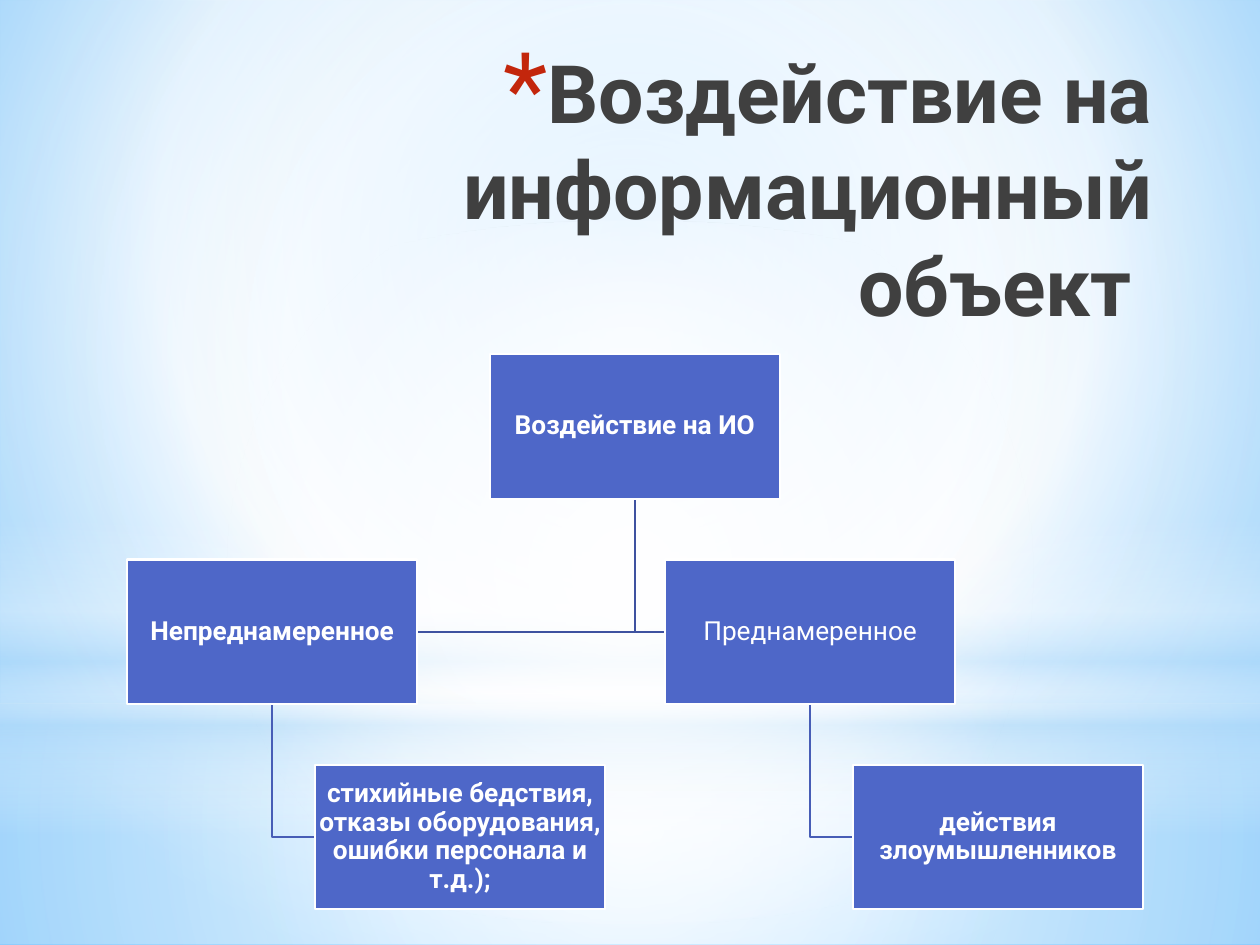
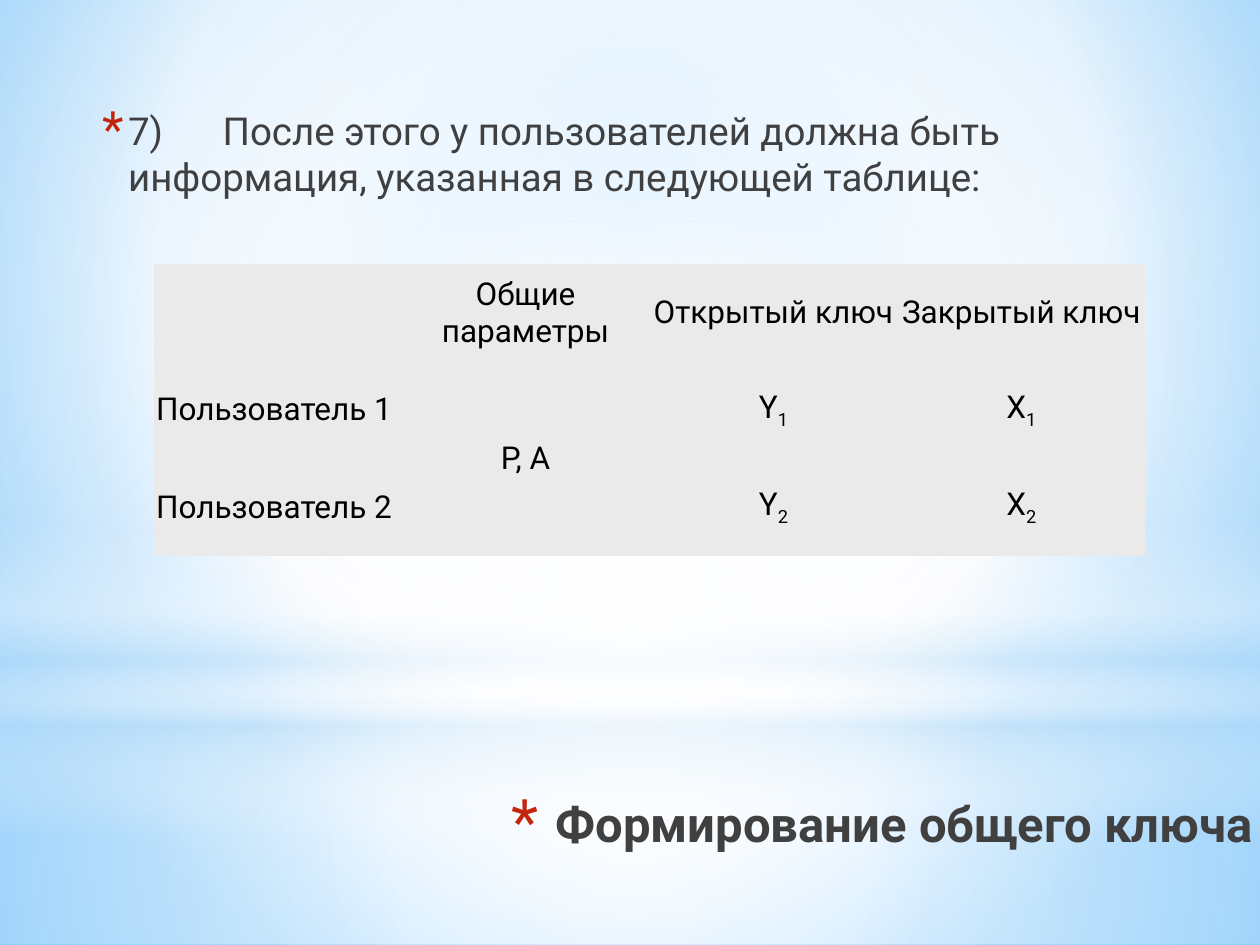
from dataclasses import dataclass

from pptx import Presentation
from pptx.dml.color import RGBColor
from pptx.enum.shapes import MSO_SHAPE
from pptx.enum.text import MSO_ANCHOR, PP_ALIGN
from pptx.oxml import parse_xml
from pptx.oxml.ns import nsdecls, qn
from pptx.util import Pt

CIRCLE = '<a:path path="circle"><a:fillToRect l="{}000" t="{}000" r="{}000" b="{}000"/></a:path>'
CENTRED = CIRCLE.format(50, 50, 50, 50)
DOWNWARD = '<a:lin ang="5400000" scaled="0"/>'


@dataclass(frozen=True)
class Theme:
    font: str = "Roboto"
    ink: str = "404040"
    black: str = "000000"
    white: str = "FFFFFF"
    sky: str = "B4DCFA"
    accent: str = "C3260C"
    node: str = "4E67C8"
    upper_link: str = "3E52A0"
    lower_link: str = "475DB6"
    cell: str = "EAEAEA"
    backdrop: tuple = ((0, "9ED5FF", 100), (60, "FFFFFF", 100), (100, "5BB9FF", 100))
    heading_size: float = 46
    subheading_size: float = 28
    body_size: float = 22
    table_size: float = 18
    node_size: float = 15
    line_width: float = 1.25
    no_grid: str = "{2D5ABB26-0587-4C30-8999-92F81FD0307C}"


@dataclass(frozen=True)
class Node:
    left: float
    top: float
    label: str
    bold: bool = True
    width: float = 165.6
    height: float = 82.6

    @property
    def center(self):
        return self.left + self.width / 2

    @property
    def middle(self):
        return self.top + self.height / 2


def apply(target, formats):
    for name, value in formats.items():
        setattr(target, name, value)


def points(*lengths):
    return [Pt(length) for length in lengths]


def margins(inset):
    return {f"margin_{side}": Pt(inset) for side in ("left", "top", "right", "bottom")}


def paint(holder, fill, stops, direction):
    fill.solid()
    stop_list = "".join(
        f'<a:gs pos="{position}000"><a:srgbClr val="{color}"><a:alpha val="{opacity}000"/></a:srgbClr></a:gs>'
        for position, color, opacity in stops)
    gradient = parse_xml(
        f'<a:gradFill {nsdecls("a")} rotWithShape="1"><a:gsLst>{stop_list}</a:gsLst>{direction}</a:gradFill>')
    holder.replace(holder.find(qn("a:solidFill")), gradient)


class Deck:
    def __init__(self, theme):
        self.theme = theme
        self.presentation = Presentation()
        apply(self.presentation, {"slide_width": Pt(720), "slide_height": Pt(540)})
        self.slide = None

    def new_slide(self):
        self.slide = self.presentation.slides.add_slide(self.presentation.slide_layouts[6])
        background = self.slide.background.fill
        background.solid()
        paint(self.slide._element.find(".//" + qn("p:bgPr")), background,
              self.theme.backdrop, CIRCLE.format(20, 10, 20, 60))
        white, sky = self.theme.white, self.theme.sky
        rectangle = MSO_SHAPE.RECTANGLE
        self.glow(rectangle, 402, 138, ((0, white, 91), (37, white, 76), (100, sky, 79)), CENTRED)
        self.glow(rectangle, 0, 402, ((0, white, 89), (48, white, 62), (100, sky, 79)), CENTRED)
        self.glow(rectangle, 297, 180, ((0, white, 0), (29, white, 30), (45, sky, 40),
                                        (55, white, 26), (65, sky, 60), (100, white, 0)), DOWNWARD)
        self.glow(MSO_SHAPE.OVAL, 126, 402, ((0, white, 100), (56, white, 0)), CENTRED)

    def glow(self, kind, top, height, stops, direction):
        band = self.slide.shapes.add_shape(kind, *points(0, top, 720, height))
        band.shadow.inherit = False
        band.line.fill.background()
        paint(band._element.spPr, band.fill, stops, direction)

    def add_text(self, paragraph, text, size, color, bold=False, subscript=""):
        for piece, baseline in ((text, 0), (subscript, -25000)):
            if piece:
                run = paragraph.add_run()
                run.text = piece
                apply(run.font, {"name": self.theme.font, "size": Pt(size), "bold": bold})
                run.font.color.rgb = RGBColor.from_string(color)
                if baseline:
                    run.font._element.set("baseline", str(baseline))

    def bullet(self, paragraph, left, hanging, percent):
        properties = paragraph._p.get_or_add_pPr()
        properties.set("marL", str(Pt(left)))
        properties.set("indent", str(-Pt(hanging)))
        for element in (f'buClr {nsdecls("a")}><a:srgbClr val="{self.theme.accent}"/></a:buClr>',
                        f'buSzPct {nsdecls("a")} val="{percent}000"/>',
                        f'buFont {nsdecls("a")} typeface="{self.theme.font}"/>',
                        f'buChar {nsdecls("a")} char="*"/>'):
            properties.append(parse_xml("<a:" + element))

    def bulleted(self, box, text, size, indent, align, bold=False):
        frame = self.slide.shapes.add_textbox(*points(*box)).text_frame
        apply(frame, {"word_wrap": True, "vertical_anchor": MSO_ANCHOR.TOP})
        paragraph = frame.paragraphs[0]
        self.bullet(paragraph, *indent)
        paragraph.alignment = align
        self.add_text(paragraph, text, size, self.theme.ink, bold)

    def title(self, box, text, size):
        self.bulleted(box, text, size, (25.2, 25.2, 128), PP_ALIGN.RIGHT, bold=True)

    def body(self, box, text):
        self.bulleted(box, text, self.theme.body_size, (18, 14.4, 130), PP_ALIGN.LEFT)

    def elbow(self, parent, child, color):
        end = child.left if child.center > parent.center else child.left + child.width
        route = self.slide.shapes.build_freeform(*points(parent.center, parent.top + parent.height))
        route.add_line_segments([points(parent.center, child.middle), points(end, child.middle)], close=False)
        link = route.convert_to_shape()
        link.shadow.inherit = False
        link.fill.background()
        self.outline(link, color)

    def outline(self, shape, color):
        shape.line.color.rgb = RGBColor.from_string(color)
        shape.line.width = Pt(self.theme.line_width)

    def node(self, node):
        box = self.slide.shapes.add_shape(
            MSO_SHAPE.RECTANGLE, *points(node.left, node.top, node.width, node.height))
        box.shadow.inherit = False
        box.fill.solid()
        box.fill.fore_color.rgb = RGBColor.from_string(self.theme.node)
        self.outline(box, self.theme.white)
        apply(box.text_frame, {"word_wrap": True, "vertical_anchor": MSO_ANCHOR.MIDDLE, **margins(0.75)})
        paragraph = box.text_frame.paragraphs[0]
        apply(paragraph, {"alignment": PP_ALIGN.CENTER, "line_spacing": 0.9})
        self.add_text(paragraph, node.label, self.theme.node_size, self.theme.white, node.bold)

    def table(self, left, top, column_width, row_height, rows, merged):
        columns = len(rows[0])
        grid = self.slide.shapes.add_table(
            len(rows), columns, *points(left, top, column_width * columns, row_height * len(rows))).table
        apply(grid, {"first_row": False, "horz_banding": False})
        grid._tbl.tblPr.find(qn("a:tableStyleId")).text = self.theme.no_grid
        first, last = merged
        grid.cell(*first).merge(grid.cell(*last))
        for row_index, row in enumerate(rows):
            for column_index, (text, subscript) in enumerate(row):
                cell = grid.cell(row_index, column_index)
                cell.fill.solid()
                cell.fill.fore_color.rgb = RGBColor.from_string(self.theme.cell)
                apply(cell, {"vertical_anchor": MSO_ANCHOR.MIDDLE, **margins(1.5)})
                paragraph = cell.text_frame.paragraphs[0]
                paragraph.alignment = PP_ALIGN.CENTER if column_index else PP_ALIGN.LEFT
                self.add_text(paragraph, text, self.theme.table_size, self.theme.black, subscript=subscript)


def impact_slide(deck):
    deck.new_slide()
    deck.title((76.3, 20.9, 589, 90), "Воздействие на информационный объект ", deck.theme.heading_size)
    tops = [202.4 + 117.3 * level for level in range(3)]
    branch_left, branch_step, cause_shift = 72.8, 307.4, 107.3
    root = Node(280, tops[0], "Воздействие на ИО")
    branches = (("Непреднамеренное", True,
                 "стихийные бедствия, отказы оборудования, ошибки персонала и т.д.);"),
                ("Преднамеренное", False, "действия злоумышленников"))
    nodes = [root]
    for index, (kind, bold, cause_label) in enumerate(branches):
        left = branch_left + branch_step * index
        branch = Node(left, tops[1], kind, bold)
        cause = Node(left + cause_shift, tops[2], cause_label)
        deck.elbow(root, branch, deck.theme.upper_link)
        deck.elbow(branch, cause, deck.theme.lower_link)
        nodes += [branch, cause]
    for node in nodes:
        deck.node(node)


def shared_key_slide(deck):
    deck.new_slide()
    deck.title((210.2, 450, 512.6, 90), "Формирование общего ключа", deck.theme.subheading_size)
    deck.body((48.2, 57.6, 629.3, 273.6),
              "7)\tПосле этого у пользователей должна быть информация, указанная в следующей таблице:")
    headings = ("", "Общие параметры", "Открытый ключ", "Закрытый ключ")
    rows = [[(heading, "") for heading in headings]]
    for user, parameters in (("1", "Р, А"), ("2", "")):
        rows.append([(f"Пользователь {user}", ""), (parameters, ""), ("Y", user), ("Х", user)])
    deck.table(87.8, 151, 141.7, 55.6, rows, ((1, 1), (2, 1)))


def main():
    deck = Deck(Theme())
    impact_slide(deck)
    shared_key_slide(deck)
    deck.presentation.save("out.pptx")


if __name__ == "__main__":
    main()
